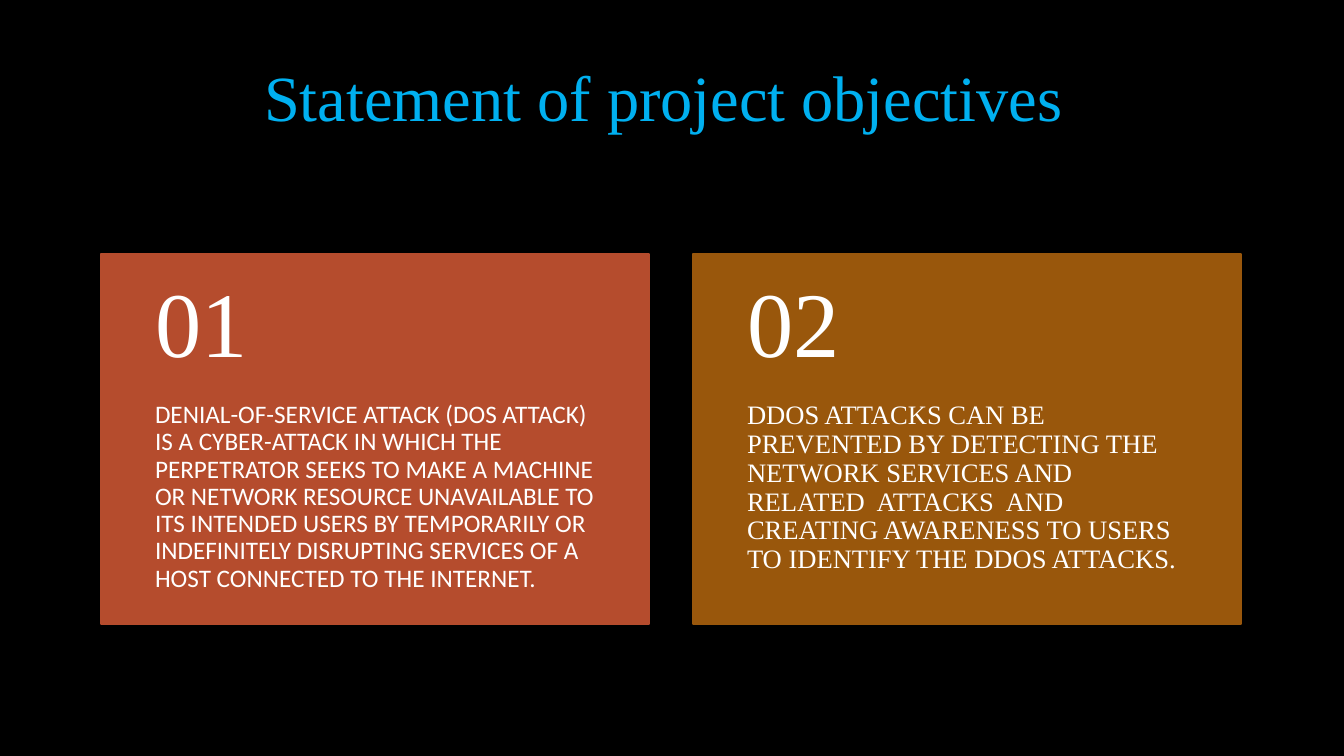
from dataclasses import dataclass

from pptx import Presentation
from pptx.dml.color import RGBColor
from pptx.enum.shapes import MSO_SHAPE
from pptx.enum.text import MSO_ANCHOR, PP_ALIGN
from pptx.slide import Slide
from pptx.util import Emu, Pt

RECT = MSO_SHAPE.RECTANGLE
TOP, MIDDLE = MSO_ANCHOR.TOP, MSO_ANCHOR.MIDDLE
LEFT, CENTER = PP_ALIGN.LEFT, PP_ALIGN.CENTER

SLIDE_W, SLIDE_H = 1344, 756
CARD_X, CARD_Y, CARD_W, CARD_STEP = 101, 254, 548, 592
NUMBER_H, BODY_H = 148, 222
SERIF, SANS = "Times New Roman", "Calibri"
COLORS = {
    "background": "000000",
    "title": "00B0F0",
    "text": "FFFFFF",
    "rust": "B54C2D",
    "brown": "99570C",
}


@dataclass(frozen=True)
class Box:
    x: int
    y: int
    w: int
    h: int


@dataclass(frozen=True)
class TextStyle:
    size: int
    font: str
    color: str = "text"
    anchor: MSO_ANCHOR = TOP
    align: PP_ALIGN = LEFT
    insets: tuple[int, int, int, int] = (54, 0, 54, 36)


@dataclass(frozen=True)
class Card:
    number: str
    body: str
    fill: str
    body_style: TextStyle


TITLE_STYLE = TextStyle(46, SERIF, "title", MIDDLE, CENTER, (10, 5, 10, 5))
NUMBER_STYLE = TextStyle(66, SERIF, anchor=MIDDLE, insets=(54, 18, 54, 18))

CARDS = [
    Card(
        "01",
        "DENIAL-OF-SERVICE ATTACK (DOS ATTACK) IS A CYBER-ATTACK IN WHICH THE "
        "PERPETRATOR SEEKS TO MAKE A MACHINE OR NETWORK RESOURCE UNAVAILABLE TO "
        "ITS INTENDED USERS BY TEMPORARILY OR INDEFINITELY DISRUPTING SERVICES "
        "OF A HOST CONNECTED TO THE INTERNET.",
        "rust",
        TextStyle(18, SANS),
    ),
    Card(
        "02",
        "DDOS ATTACKS CAN BE PREVENTED BY DETECTING THE NETWORK SERVICES AND "
        "RELATED  ATTACKS  AND CREATING AWARENESS TO USERS TO IDENTIFY THE DDOS "
        "ATTACKS.",
        "brown",
        TextStyle(19, SERIF),
    ),
]


def px(n: int) -> Emu:
    """Convert px to EMU at 100.8 px to the inch."""
    return Emu(round(n * 914400 / 100.8))


def rgb(name: str) -> RGBColor:
    return RGBColor.from_string(COLORS[name])


def add_text(s: Slide, box: Box, text: str, style: TextStyle) -> None:
    sp = s.shapes.add_textbox(px(box.x), px(box.y), px(box.w), px(box.h))
    tf = sp.text_frame
    tf.word_wrap = True
    tf.vertical_anchor = style.anchor
    tf.margin_left, tf.margin_top, tf.margin_right, tf.margin_bottom = map(
        px, style.insets
    )
    tf.text = text
    p = tf.paragraphs[0]
    p.alignment = style.align
    p.line_spacing = 0.9
    font = p.runs[0].font
    font.size = Pt(style.size)
    font.name = style.font
    font.color.rgb = rgb(style.color)


def add_card(s: Slide, x: int, card: Card) -> None:
    sp = s.shapes.add_shape(
        RECT, px(x), px(CARD_Y), px(CARD_W), px(NUMBER_H + BODY_H)
    )
    sp.shadow.inherit = False
    sp.fill.solid()
    sp.fill.fore_color.rgb = rgb(card.fill)
    sp.line.color.rgb = rgb(card.fill)
    sp.line.width = Pt(1.25)
    body_box = Box(x, CARD_Y + NUMBER_H, CARD_W, BODY_H)
    add_text(s, body_box, card.body, card.body_style)
    add_text(s, Box(x, CARD_Y, CARD_W, NUMBER_H), card.number, NUMBER_STYLE)


def main() -> None:
    prs = Presentation()
    prs.slide_width, prs.slide_height = px(SLIDE_W), px(SLIDE_H)
    s = prs.slides.add_slide(prs.slide_layouts[6])
    s.background.fill.solid()
    s.background.fill.fore_color.rgb = rgb("background")

    title_box = Box(101, 31, 1141, 139)
    add_text(s, title_box, "Statement of project objectives ", TITLE_STYLE)
    for i, card in enumerate(CARDS):
        add_card(s, CARD_X + i * CARD_STEP, card)

    prs.save("out.pptx")


if __name__ == "__main__":
    main()
